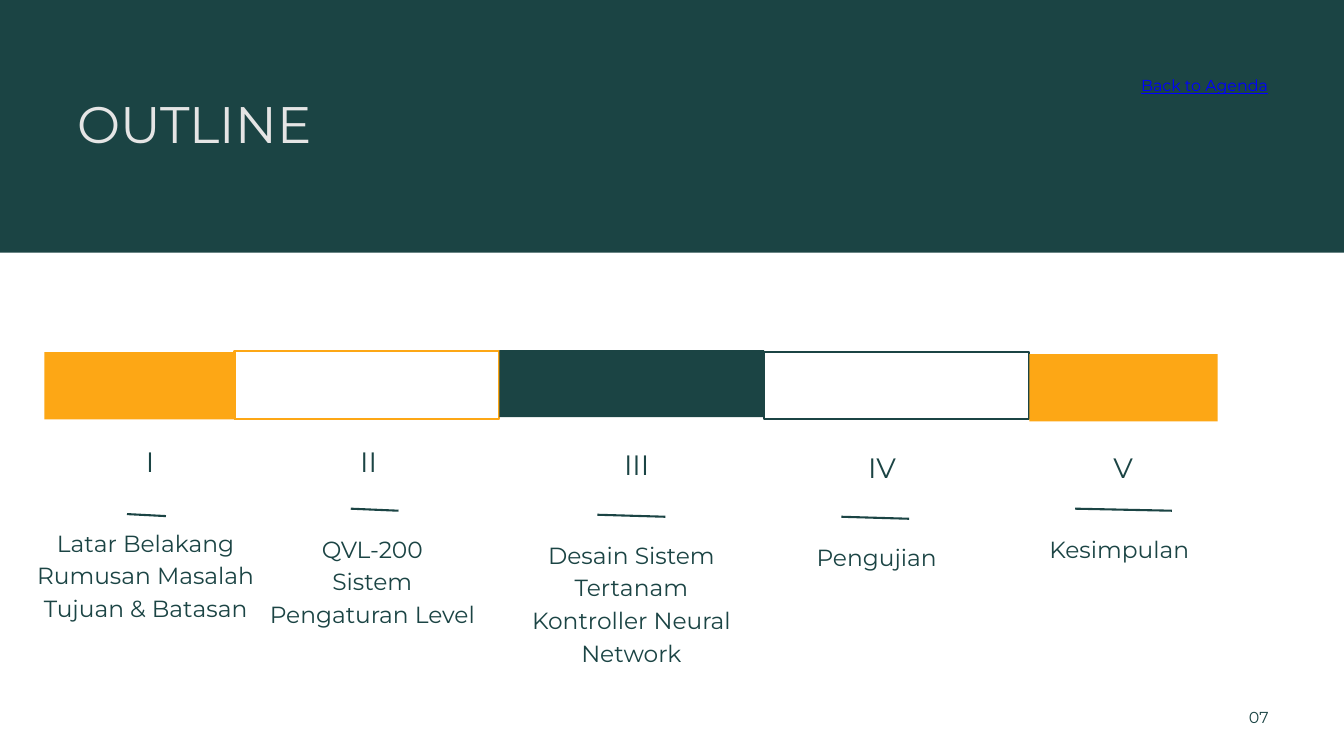
"""Build the outline slide: a header band above a five-part timeline."""
import pptx
import pptx.dml.color
import pptx.enum.shapes
import pptx.enum.text
import pptx.oxml.ns
import pptx.util
from lxml import etree

Inches = pptx.util.Inches
Pt = pptx.util.Pt
ALIGN = pptx.enum.text.PP_ALIGN
ANCHOR = pptx.enum.text.MSO_ANCHOR

FONT = "Montserrat"
COLORS = {
    "green": "1B4444",
    "orange": "FDA715",
    "white": "FFFFFF",
    "title": "E5E5E5",
    "link": "0000FF",
}

SECTIONS = [
    {"bar": (0.66, 5.24, 2.81, "orange", None),
     "numeral": "I", "numeral_box": (0.54, 4.95, 3.39),
     "rule": (1.89, 2.47, 7.65),
     "lines": ["Latar Belakang", "Rumusan Masalah", "Tujuan & Batasan"],
     "body_box": (0.34, 7.8, 3.65, 1.42)},
    {"bar": (3.49, 5.23, 3.94, "white", "orange"),
     "numeral": "II", "numeral_box": (3.75, 4.95, 3.47),
     "rule": (5.22, 5.93, 7.57),
     "lines": ["QVL-200", "Sistem Pengaturan Level"],
     "body_box": (3.89, 7.89, 3.3, 1.42)},
    {"bar": (7.43, 5.21, 3.94, "green", None),
     "numeral": "III", "numeral_box": (7.74, 4.99, 3.47),
     "rule": (8.89, 9.9, 7.66),
     "lines": ["Desain Sistem Tertanam", "Kontroller Neural Network"],
     "body_box": (7.57, 7.98, 3.65, 1.91)},
    {"bar": (11.37, 5.24, 3.94, None, "green"),
     "numeral": "IV", "numeral_box": (11.39, 5.04, 3.47),
     "rule": (12.52, 13.53, 7.69),
     "lines": ["Pengujian"],
     "body_box": (11.22, 8.01, 3.65, 0.44)},
    {"bar": (15.32, 5.27, 2.8, "orange", None),
     "numeral": "V", "numeral_box": (15.02, 5.03, 3.39),
     "rule": (16, 17.44, 7.57),
     "lines": ["Kesimpulan"],
     "body_box": (14.83, 7.9, 3.65, 0.44)},
]


def rgb(name):
    """Return the named colour."""
    return pptx.dml.color.RGBColor.from_string(COLORS[name])


def add_bar(s, left, top, width, fill, outline, height=1):
    """Add a rectangle with an optional fill and outline."""
    sp = s.shapes.add_shape(
        pptx.enum.shapes.MSO_SHAPE.RECTANGLE,
        Inches(left), Inches(top), Inches(width), Inches(height))
    sp.shadow.inherit = False
    if fill:
        sp.fill.solid()
        sp.fill.fore_color.rgb = rgb(fill)
    else:
        sp.fill.background()
    if outline:
        sp.line.color.rgb = rgb(outline)
        sp.line.width = Pt(2.25)
    else:
        sp.line.fill.background()


def add_text(s, lines, box, size, spacing, color="green", align=ALIGN.CENTER,
             anchor=ANCHOR.TOP, inset=0, underline=None):
    """Add a wrapping text box with one paragraph for each line."""
    tf = s.shapes.add_textbox(*map(Inches, box)).text_frame
    tf.word_wrap = True
    tf.vertical_anchor = anchor
    tf.margin_left = tf.margin_right = Inches(inset)
    tf.margin_top = tf.margin_bottom = Inches(inset)
    for i, line in enumerate(lines):
        p = tf.add_paragraph() if i else tf.paragraphs[0]
        p.alignment = align
        p.line_spacing = Pt(spacing)
        r = p.add_run()
        r.text = line
        r.font.name = FONT
        r.font.size = Pt(size)
        r.font.color.rgb = rgb(color)
        r.font.underline = underline


def add_rule(s, start, end, y):
    """Add a short, slightly falling line."""
    line = s.shapes.add_connector(
        pptx.enum.shapes.MSO_CONNECTOR.STRAIGHT,
        Inches(start), Inches(y), Inches(end), Inches(y + 0.03))
    line.line.color.rgb = rgb("green")
    line.line.width = Pt(2.25)
    etree.SubElement(line._element.spPr, pptx.oxml.ns.qn("a:effectLst"))


def add_section(s, section):
    """Add the bar, numeral, rule and body text of one section."""
    add_bar(s, *section["bar"])
    add_text(s, [section["numeral"]], (*section["numeral_box"], 3.76), 30, 42,
             anchor=ANCHOR.MIDDLE, inset=0.06)
    add_rule(s, *section["rule"])
    add_text(s, section["lines"], section["body_box"], 25, 35)


def main():
    """Build and save the slide."""
    prs = pptx.Presentation()
    prs.slide_width = Inches(20)
    prs.slide_height = Inches(11.25)
    s = prs.slides.add_slide(prs.slide_layouts[6])

    add_bar(s, 0, 0, 20, "green", None, height=3.76)
    add_text(s, ["OUTLINE"], (1.15, 1.45, 11.99, 0.87), 55, 60.5,
             color="title", align=ALIGN.LEFT)
    add_text(s, ["Back to Agenda"], (15.72, 1.1, 3.15, 0.3), 17, 22.1,
             color="link", align=ALIGN.RIGHT, underline=True)
    for section in SECTIONS:
        add_section(s, section)
    add_text(s, ["07"], (18.28, 10.51, 0.6, 0.3), 17, 22.1, align=ALIGN.RIGHT)

    prs.save("out.pptx")


if __name__ == "__main__":
    main()
